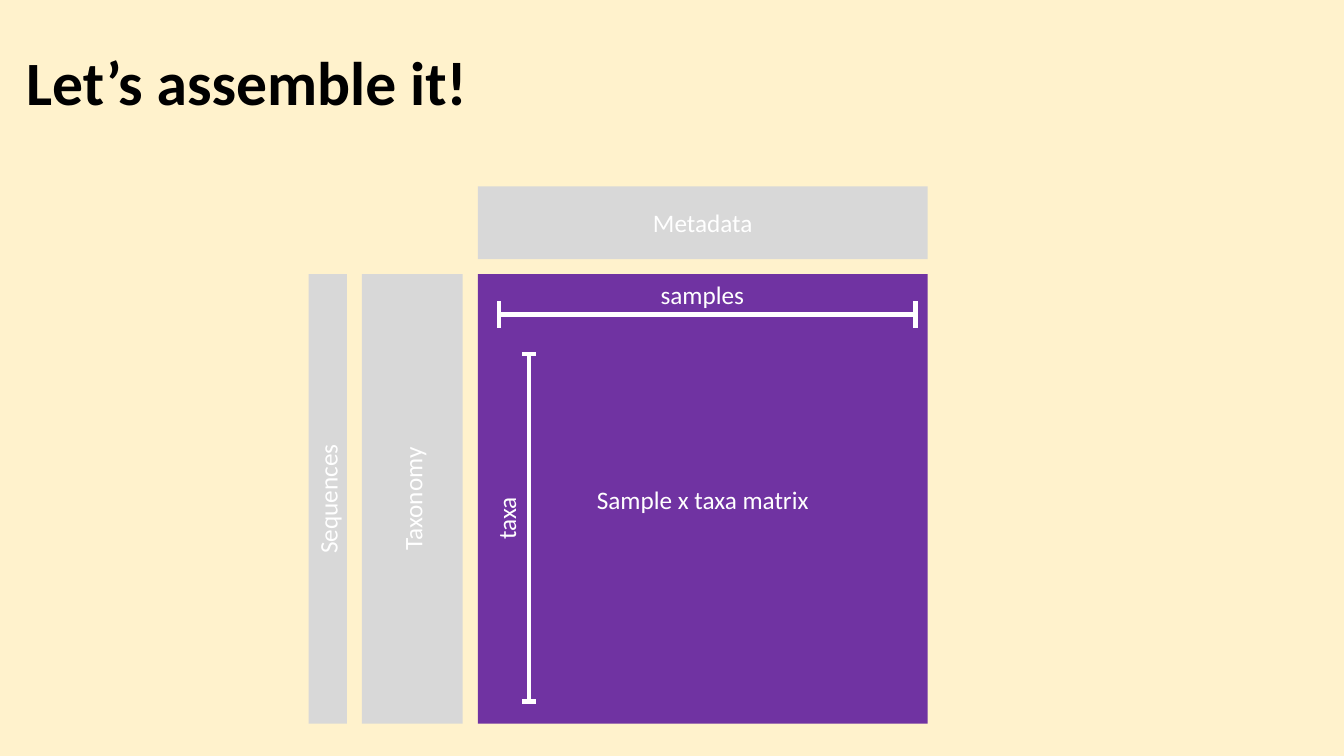
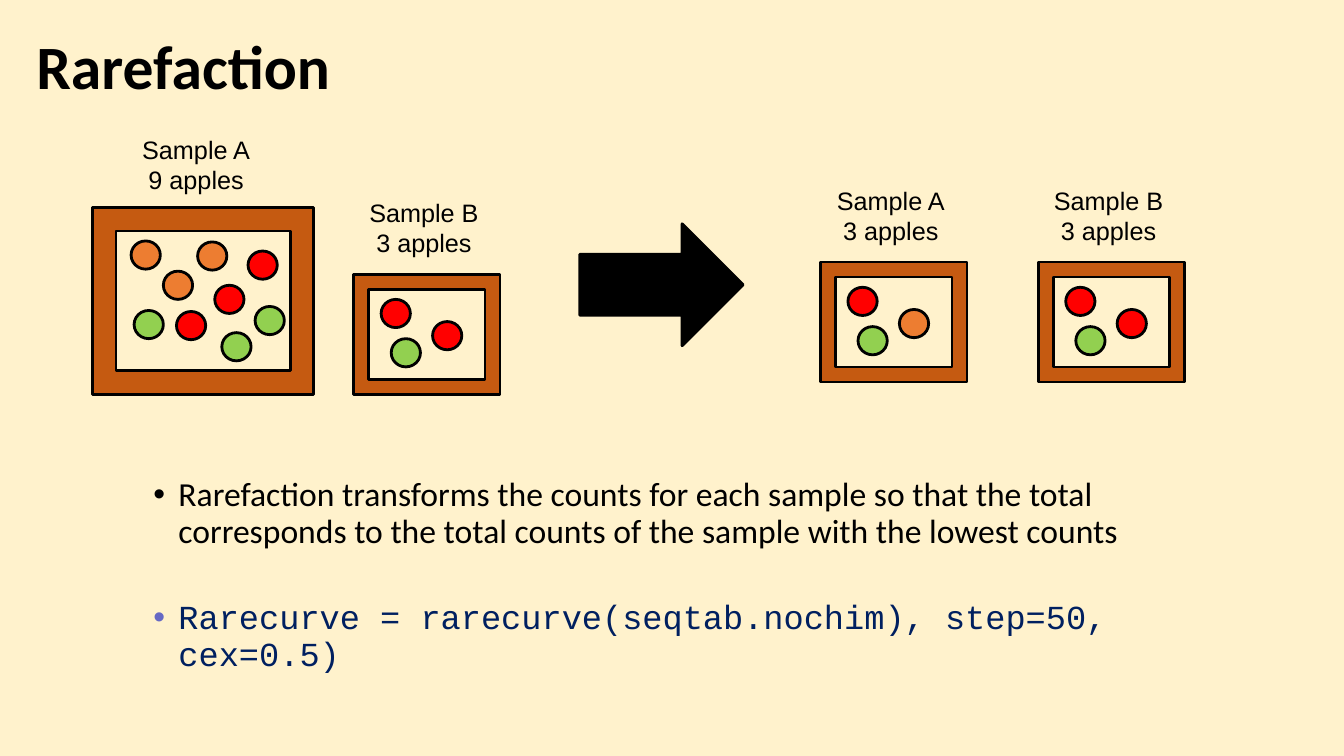
from lxml import etree
from pptx import Presentation
from pptx.dml.color import RGBColor
from pptx.enum import shapes, text
from pptx.oxml import ns
from pptx.util import Inches, Pt

CREAM, BLACK, WHITE = "FFF2CC", "000000", "FFFFFF"
PURPLE, GREY, BROWN = "7033A2", "D8D8D8", "C55A11"
RED, ORANGE, GREEN = "FF0000", "ED7D31", "92D050"
NAVY, LILAC = "002060", "6669C4"

TITLE = {"size": Pt(44), "name": "Calibri", "bold": True}
LABEL = {"size": Pt(18), "name": "Calibri"}
CAPTION = {"size": Pt(18), "name": "Arial"}
BODY = {"size": Pt(24), "name": "Calibri"}
CODE = {"size": Pt(24), "name": "Courier New"}
CENTRED = {"alignment": text.PP_ALIGN.CENTER}

SMALL_CRATE = (1.45, 1.19)
SMALL_SPOTS = [(0.27, 0.25), (0.78, 0.47), (0.37, 0.64)]
SMALL_CAPTION = (-0.03, -0.81)
LARGE_APPLES = [
    (0.70, 0.63, ORANGE), (1.04, 0.34, ORANGE), (0.38, 0.33, ORANGE),
    (0.83, 1.03, RED), (1.54, 0.43, RED), (1.21, 0.77, RED),
    (1.61, 0.98, GREEN), (0.41, 1.02, GREEN), (1.28, 1.24, GREEN),
]


def colour(value):
    """Turn a hex string into a colour."""
    return RGBColor.from_string(value)


def apply(target, values):
    """Set each named attribute of the target."""
    for name, value in values.items():
        setattr(target, name, value)


def place(shape, left, top, width, height):
    """Move and size a shape, in inches."""
    apply(shape, {"left": Inches(left), "top": Inches(top),
                  "width": Inches(width), "height": Inches(height)})


def write(paragraph, words, font, ink, layout):
    """Fill one paragraph with a formatted run."""
    run = paragraph.add_run()
    run.text = words
    apply(run.font, font)
    run.font.color.rgb = colour(ink)
    apply(paragraph, layout)


def turn(shape, left, top, width, height):
    """Place a shape so that it fills the box after a quarter turn to the left."""
    place(shape, left + (width - height) / 2, top + (height - width) / 2, height, width)
    shape.rotation = 270


def add_block(slide, kind, box, fill, outline=None):
    """Add a filled preset shape without shadow."""
    shape = slide.shapes.add_shape(kind, *map(Inches, box))
    shape.shadow.inherit = False
    shape.fill.solid()
    shape.fill.fore_color.rgb = colour(fill)
    if outline:
        shape.line.color.rgb = colour(outline)
        shape.line.width = Pt(2)
    else:
        shape.line.fill.background()
    return shape


def add_panel(slide, words, box, fill, sideways=False):
    """Add a labelled rectangle, read upwards if sideways."""
    panel = add_block(slide, shapes.MSO_SHAPE.RECTANGLE, box, fill)
    if sideways:
        turn(panel, *box)
    write(panel.text_frame.paragraphs[0], words, LABEL, WHITE, CENTRED)


def add_caption(slide, lines, box, font, ink):
    """Add a centred text box with one paragraph a line."""
    caption = slide.shapes.add_textbox(*map(Inches, box))
    frame = caption.text_frame
    for number, words in enumerate(lines):
        paragraph = frame.add_paragraph() if number else frame.paragraphs[0]
        write(paragraph, words, font, ink, CENTRED)
    return caption


def add_line(slide, start, end):
    """Add a white line between two points."""
    line = slide.shapes.add_connector(
        shapes.MSO_CONNECTOR.STRAIGHT, *map(Inches, (*start, *end)))
    line.line.color.rgb = colour(WHITE)
    line.line.width = Pt(3)
    etree.SubElement(line.element.spPr, ns.qn("a:effectLst"))


def add_span(slide, start, end, cap):
    """Add a horizontal or vertical measuring line with end caps."""
    add_line(slide, start, end)
    across, down = (cap / 2, 0) if start[0] == end[0] else (0, cap / 2)
    for x, y in (start, end):
        add_line(slide, (x - across, y - down), (x + across, y + down))


def add_slide(presentation, layout, title, box):
    """Add a slide with the shared title style."""
    slide = presentation.slides.add_slide(presentation.slide_layouts[layout])
    heading = slide.shapes.title
    place(heading, *box)
    apply(heading.text_frame, {"vertical_anchor": text.MSO_ANCHOR.MIDDLE,
                               "auto_size": text.MSO_AUTO_SIZE.NONE})
    write(heading.text_frame.paragraphs[0], title, TITLE, BLACK,
          {"alignment": text.PP_ALIGN.LEFT, "line_spacing": 0.9})
    return slide


def add_matrix(slide, left, top, side, gap=0.15):
    """Draw the sample matrix with the tables along its edges."""
    add_panel(slide, "Sample x taxa matrix", (left, top, side, side), PURPLE)
    add_panel(slide, "Metadata", (left, top - gap - 0.72, side, 0.72), GREY)
    edge = left
    for words, width in (("Taxonomy", 1), ("Sequences", 0.38)):
        edge -= gap + width
        add_panel(slide, words, (edge, top, width, side), GREY, sideways=True)
    add_caption(slide, ["samples"], (left + 1.7, top, 1.05, 0.4), LABEL, WHITE)
    add_span(slide, (left + 0.21, top + 0.4), (left + 4.34, top + 0.4), 0.26)
    taxa_box = (left + 0.08, top + 2.11, 0.4, 0.63)
    turn(add_caption(slide, ["taxa"], taxa_box, LABEL, WHITE), *taxa_box)
    add_span(slide, (left + 0.51, top + 0.79), (left + 0.51, top + 4.24), 0.14)


def add_crate(slide, sample, box, apples, caption_offset):
    """Draw a crate of apples under its caption."""
    left, top = box[:2]
    add_block(slide, shapes.MSO_SHAPE.FRAME, box, BROWN, BLACK)
    for across, down, fill in apples:
        add_block(slide, shapes.MSO_SHAPE.OVAL,
                  (left + across, top + down, 0.29, 0.28), fill, BLACK)
    across, down = caption_offset
    add_caption(slide, [f"Sample {sample}", f"{len(apples)} apples"],
                (left + across, top + down, 1.45, 0.71), CAPTION, BLACK)


def add_small_crate(slide, sample, left, top, fills):
    """Draw a crate of three apples."""
    apples = [(*spot, fill) for spot, fill in zip(SMALL_SPOTS, fills)]
    add_crate(slide, sample, (left, top, *SMALL_CRATE), apples, SMALL_CAPTION)


def add_bullet(paragraph, words, font, ink, bullet_ink, space):
    """Fill a second-level bullet paragraph."""
    write(paragraph, words, font, ink,
          {"level": 1, "line_spacing": 0.9, "space_before": Pt(space)})
    properties = paragraph._p.get_or_add_pPr()
    properties.set("marL", str(Inches(0.75)))
    properties.set("indent", str(Inches(-0.25)))
    bullet_colour = etree.SubElement(properties, ns.qn("a:buClr"))
    etree.SubElement(bullet_colour, ns.qn("a:srgbClr"), val=bullet_ink)
    etree.SubElement(properties, ns.qn("a:buFont"), typeface="Arial")
    etree.SubElement(properties, ns.qn("a:buChar"), char="•")


def build_assembly(presentation):
    """Build the slide that assembles the data tables."""
    slide = add_slide(presentation, 5, "Let’s assemble it!", (0.16, 0.12, 11.5, 1.45))
    add_matrix(slide, 4.74, 2.72, 4.46)


def build_rarefaction(presentation):
    """Build the slide that explains rarefaction."""
    slide = add_slide(presentation, 1, "Rarefaction", (0.26, 0.26, 11.5, 0.86))
    body = slide.placeholders[1]
    place(body, 0.92, 4.69, 11.5, 2.43)
    frame = body.text_frame
    frame.auto_size = text.MSO_AUTO_SIZE.NONE
    add_bullet(frame.paragraphs[0],
               "Rarefaction transforms the counts for each sample so that the total "
               "corresponds to the total counts of the sample with the lowest counts",
               BODY, BLACK, BLACK, 5)
    add_bullet(frame.add_paragraph(),
               "Rarecurve = rarecurve(seqtab.nochim), step=50, cex=0.5)",
               CODE, NAVY, LILAC, 36)
    add_crate(slide, "A", (0.92, 2.06, 2.19, 1.85), LARGE_APPLES, (0.3, -0.78))
    add_small_crate(slide, "B", 3.51, 2.72, (RED, RED, GREEN))
    add_block(slide, shapes.MSO_SHAPE.RIGHT_ARROW, (5.75, 2.22, 1.62, 1.21), BLACK, BLACK)
    add_small_crate(slide, "A", 8.14, 2.6, (RED, ORANGE, GREEN))
    add_small_crate(slide, "B", 10.3, 2.6, (RED, RED, GREEN))


def main():
    """Build and save the presentation."""
    presentation = Presentation()
    apply(presentation, {"slide_width": Inches(13.33), "slide_height": Inches(7.5)})
    background = presentation.slide_master.background.fill
    background.solid()
    background.fore_color.rgb = colour(CREAM)
    build_assembly(presentation)
    build_rarefaction(presentation)
    presentation.save("out.pptx")


if __name__ == "__main__":
    main()
